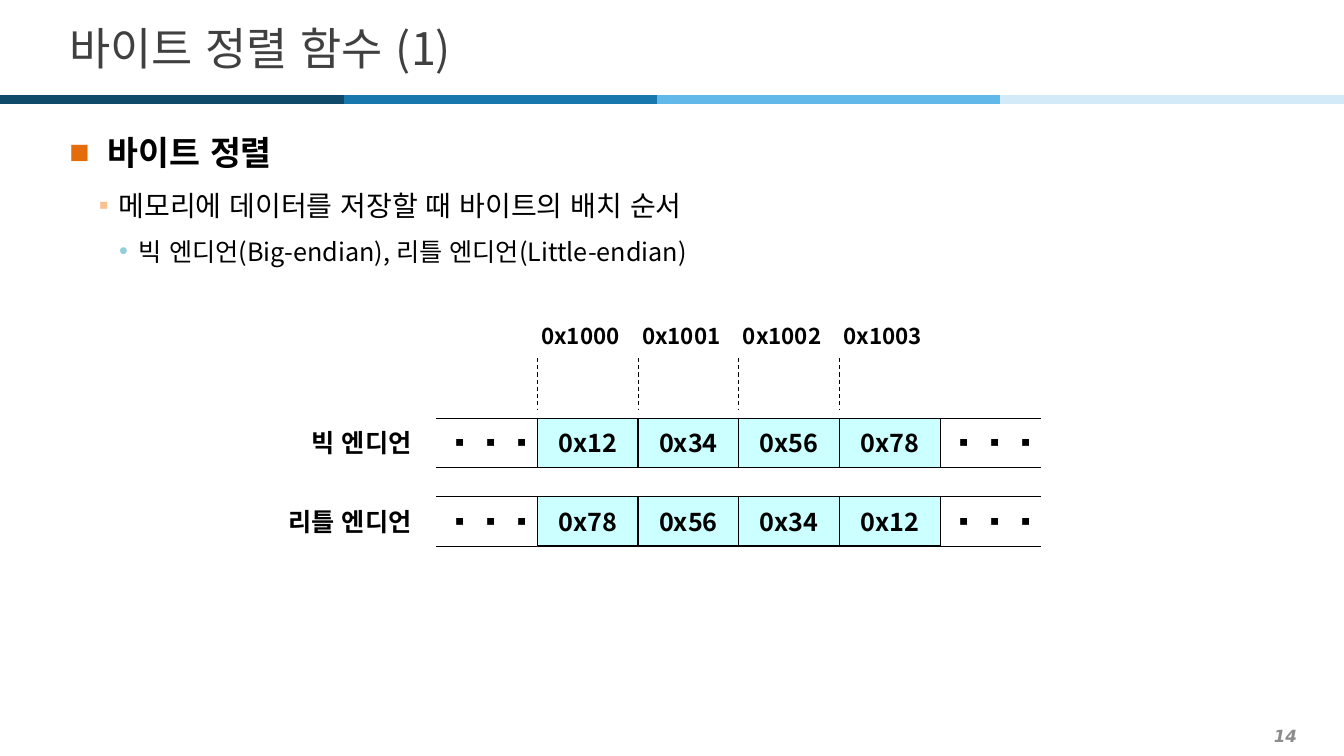
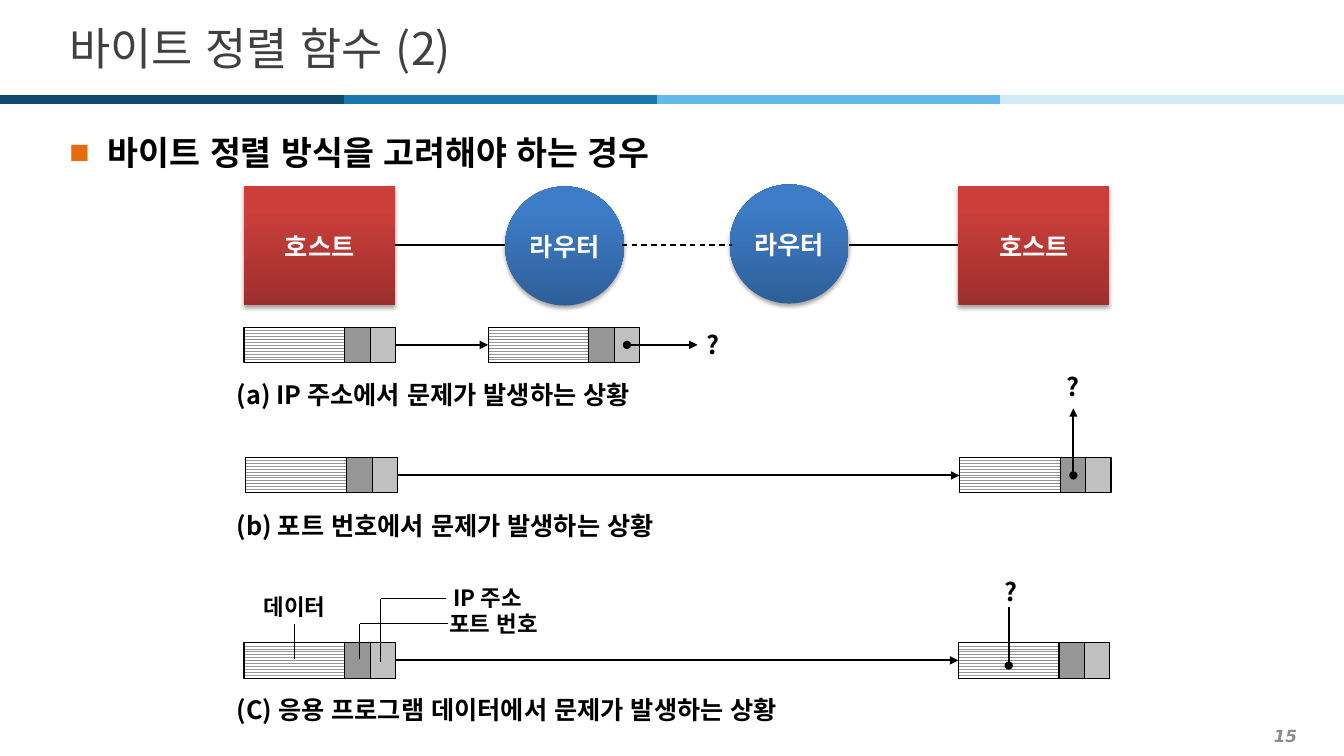
"""Build two slides that explain byte ordering with memory and packet diagrams."""
from lxml import etree
from pptx import Presentation
from pptx.dml.color import RGBColor
from pptx.enum.dml import MSO_LINE, MSO_PATTERN
from pptx.enum.lang import MSO_LANGUAGE_ID
from pptx.enum.shapes import MSO_CONNECTOR, MSO_SHAPE
from pptx.enum.text import MSO_ANCHOR, PP_ALIGN
from pptx.oxml.ns import qn
from pptx.util import Cm, Pt

LEFT, CENTER, RIGHT = PP_ALIGN.LEFT, PP_ALIGN.CENTER, PP_ALIGN.RIGHT
TOP, MIDDLE = MSO_ANCHOR.TOP, MSO_ANCHOR.MIDDLE
DASH = MSO_LINE.DASH
ZIG_ZAG = MSO_PATTERN.ZIG_ZAG
KOREAN = MSO_LANGUAGE_ID.KOREAN
STRAIGHT = MSO_CONNECTOR.STRAIGHT
RECTANGLE, OVAL = MSO_SHAPE.RECTANGLE, MSO_SHAPE.OVAL

BLACK = RGBColor(0x00, 0x00, 0x00)
WHITE = RGBColor(0xFF, 0xFF, 0xFF)
TITLE_GRAY = RGBColor(0x40, 0x40, 0x40)
NUMBER_GRAY = RGBColor(0x8C, 0x8C, 0x8C)
BAND_COLORS = (
    RGBColor(0xD3, 0xEB, 0xF9),
    RGBColor(0x61, 0xB8, 0xE9),
    RGBColor(0x18, 0x77, 0xAC),
    RGBColor(0x0F, 0x4A, 0x6B),
)
BYTE_CYAN = RGBColor(0xCC, 0xFF, 0xFF)
PORT_GRAY = RGBColor(0x96, 0x96, 0x96)
ADDRESS_GRAY = RGBColor(0xC0, 0xC0, 0xC0)
HOST_REDS = (RGBColor(0x9C, 0x2F, 0x2D), RGBColor(0xCB, 0x3E, 0x3A))
ROUTER_BLUES = (RGBColor(0x2F, 0x5F, 0x99), RGBColor(0x3D, 0x7C, 0xC7))

KOREAN_FONT = "Noto Sans CJK KR"
WIDTH, HEIGHT = 33.87, 19.05


def write_text(shape, text, size=18, color=BLACK, bold=True, italic=False,
               font=KOREAN_FONT, align=LEFT, anchor=MIDDLE, wrap=False,
               spacing=None, before=0, after=0, bullet=None):
    """Add one formatted paragraph to a shape."""
    frame = shape.text_frame
    frame.word_wrap = wrap
    frame.vertical_anchor = anchor
    paragraph = frame.add_paragraph() if frame.text else frame.paragraphs[0]
    paragraph.alignment = align
    paragraph.line_spacing = spacing
    paragraph.space_before, paragraph.space_after = Pt(before), Pt(after)
    run = paragraph.add_run()
    run.text = text
    run.font.name, run.font.size = font, Pt(size)
    run.font.bold, run.font.italic = bold, italic
    run.font.color.rgb = color
    run.font.language_id = KOREAN
    etree.SubElement(run.font._element, qn("a:ea"), typeface=KOREAN_FONT)
    if bullet:
        symbol, bullet_color, margin, hanging = bullet
        properties = paragraph._p.get_or_add_pPr()
        properties.set("marL", str(Cm(margin)))
        properties.set("indent", str(-Cm(hanging)))
        holder = etree.SubElement(properties, qn("a:buClr"))
        etree.SubElement(holder, qn("a:srgbClr"), val=bullet_color)
        etree.SubElement(properties, qn("a:buFont"), typeface="Arial")
        etree.SubElement(properties, qn("a:buChar"), char=symbol)


def add_line(slide, x1, y1, x2, y2, width=0.75, color=BLACK, dash=None,
             head=None, tail=None):
    """Draw a straight line with optional end marks."""
    line = slide.shapes.add_connector(STRAIGHT, Cm(x1), Cm(y1), Cm(x2), Cm(y2))
    line.line.color.rgb = color
    line.line.width = Pt(width)
    if dash:
        line.line.dash_style = dash
    outline = line.line._get_or_add_ln()
    for tag, mark in (("a:headEnd", head), ("a:tailEnd", tail)):
        if mark:
            etree.SubElement(outline, qn(tag), type=mark)
    etree.SubElement(line._element.spPr, qn("a:effectLst"))


presentation = Presentation()
presentation.slide_width, presentation.slide_height = Cm(WIDTH), Cm(HEIGHT)
blank_layout = presentation.slide_layouts[6]

heading_style = dict(size=24, font="Arial", spacing=1.2, after=2,
                     bullet=("■", "E46C0A", 0.97, 0.97))
point_style = dict(size=20, bold=False, spacing=1.3, before=2, after=2,
                   bullet=("▪", "FAC090", 1.24, 0.5))
detail_style = dict(size=18, bold=False, spacing=1.2, before=4, after=6,
                    bullet=("•", "93CDDD", 1.75, 0.5))
contents = (
    (14, "바이트 정렬 함수 (1)", (
        ("바이트 정렬", heading_style),
        ("메모리에 데이터를 저장할 때 바이트의 배치 순서", point_style),
        ("빅 엔디언(Big-endian), 리틀 엔디언(Little-endian)", detail_style),
    )),
    (15, "바이트 정렬 함수 (2)", (
        ("바이트 정렬 방식을 고려해야 하는 경우", heading_style),
    )),
)

BAND_LENGTH, BAND_TOP = 8.66, 2.51
for number, title, body_lines in contents:
    slide = presentation.slides.add_slide(blank_layout)
    number_box = slide.shapes.add_textbox(Cm(0.5), Cm(18.13), Cm(32.44), Cm(0.8))
    write_text(number_box, str(number), size=12, font="DejaVu Sans",
               color=NUMBER_GRAY, italic=True, align=RIGHT, wrap=True)
    for index, color in enumerate(BAND_COLORS):
        start = 0 if index == 3 else WIDTH - BAND_LENGTH * (index + 1)
        add_line(slide, start, BAND_TOP, start + BAND_LENGTH, BAND_TOP,
                 width=6, color=color)
    title_box = slide.shapes.add_textbox(Cm(1.5), Cm(0.33), Cm(31), Cm(1.73))
    write_text(title_box, title, size=32, color=TITLE_GRAY, bold=False, wrap=True)
    body_box = slide.shapes.add_textbox(Cm(1.5), Cm(3), Cm(31), Cm(15.3))
    for text, style in body_lines:
        write_text(body_box, text, anchor=TOP, wrap=True, **style)

memory_slide, network_slide = presentation.slides

CELL, ROW_HEIGHT, MEMORY_LEFT = 2.54, 1.24, 13.54
for index in range(4):
    left = MEMORY_LEFT + index * CELL
    address_box = memory_slide.shapes.add_textbox(
        Cm(left - 0.43), Cm(7.84), Cm(3.04), Cm(ROW_HEIGHT))
    write_text(address_box, f"0x100{index}", size=16, align=CENTER)
    add_line(memory_slide, left, 9.02, left, 10.31, dash=DASH)

memory_rows = (
    ("빅 엔디언", 10.54, ("0x12", "0x34", "0x56", "0x78")),
    ("리틀 엔디언", 12.52, ("0x78", "0x56", "0x34", "0x12")),
)
for name, top, values in memory_rows:
    name_box = memory_slide.shapes.add_textbox(
        Cm(5.62), Cm(top), Cm(5), Cm(ROW_HEIGHT))
    write_text(name_box, name, align=RIGHT)
    for index, value in enumerate(values):
        cell = memory_slide.shapes.add_shape(
            RECTANGLE, Cm(MEMORY_LEFT + index * CELL), Cm(top), Cm(CELL), Cm(ROW_HEIGHT))
        cell.shadow.inherit = False
        cell.fill.solid()
        cell.fill.fore_color.rgb = BYTE_CYAN
        cell.line.color.rgb = BLACK
        cell.line.width = Pt(0.75)
        write_text(cell, value, align=CENTER)
    for left in (MEMORY_LEFT - CELL, MEMORY_LEFT + 4 * CELL):
        dots_box = memory_slide.shapes.add_textbox(
            Cm(left - 0.63), Cm(top), Cm(4), Cm(ROW_HEIGHT))
        write_text(dots_box, "▪ ▪ ▪", align=CENTER)
        for edge in (top, top + ROW_HEIGHT):
            add_line(memory_slide, left, edge, left + CELL, edge)

nodes = (
    ("호스트", RECTANGLE, 6.15, 4.7, 3.81, HOST_REDS),
    ("라우터", OVAL, 12.73, 4.7, 3, ROUTER_BLUES),
    ("라우터", OVAL, 18.39, 4.65, 3, ROUTER_BLUES),
    ("호스트", RECTANGLE, 24.15, 4.7, 3.81, HOST_REDS),
)
for name, kind, left, top, width, colors in nodes:
    node = network_slide.shapes.add_shape(kind, Cm(left), Cm(top), Cm(width), Cm(3))
    node.shadow.inherit = False
    node.line.fill.background()
    node.fill.gradient()
    node.fill.gradient_angle = 90
    for stop, color, position in zip(node.fill.gradient_stops, colors, (0, 0.8)):
        stop.color.rgb = color
        stop.position = position
    effects = node._element.spPr.find(qn("a:effectLst"))
    shadow = etree.SubElement(effects, qn("a:outerShdw"), blurRad=str(Pt(3.1)),
                              dist=str(Pt(1.8)), dir="5400000", rotWithShape="0")
    shadow_color = etree.SubElement(shadow, qn("a:srgbClr"), val="000000")
    etree.SubElement(shadow_color, qn("a:alpha"), val="35000")
    write_text(node, name, color=WHITE, align=CENTER)

for start, end, dash in ((9.96, 12.73, None), (15.67, 18.44, DASH), (21.39, 24.15, None)):
    add_line(network_slide, start, 6.17, end, 6.17, width=1, dash=dash)

packet_parts = ((0, 2.54, None), (2.54, 0.64, PORT_GRAY), (3.18, 0.64, ADDRESS_GRAY))
packets = ((6.15, 8.25), (12.3, 8.25), (6.2, 11.52), (24.18, 11.52), (6.15, 16.2), (24.15, 16.2))
for left, top in packets:
    for offset, width, color in packet_parts:
        part = network_slide.shapes.add_shape(
            RECTANGLE, Cm(left + offset), Cm(top), Cm(width), Cm(0.89))
        part.shadow.inherit = False
        if color:
            part.fill.solid()
            part.fill.fore_color.rgb = color
        else:
            part.fill.patterned()
            part.fill.pattern = ZIG_ZAG
            part.fill.fore_color.rgb = PORT_GRAY
            part.fill.back_color.rgb = WHITE
        part.line.color.rgb = BLACK
        part.line.width = Pt(0.75)

arrows = (
    (9.96, 8.69, 12.3, 8.69, None, "triangle"),
    (15.8, 8.69, 17.58, 8.69, "oval", "triangle"),
    (10.02, 11.98, 24.18, 11.98, None, "triangle"),
    (27.05, 11.98, 27.05, 10.29, "oval", "triangle"),
    (9.96, 16.64, 24.15, 16.64, None, "triangle"),
    (25.42, 16.77, 25.42, 15.29, "oval", None),
)
for x1, y1, x2, y2, head, tail in arrows:
    add_line(network_slide, x1, y1, x2, y2, width=1.5, head=head, tail=tail)

callout_lines = (
    (7.42, 15.72, 7.42, 16.61),
    (9.6, 15.09, 9.6, 16.69),
    (9.6, 15.09, 11.23, 15.09),
    (9.07, 15.72, 9.07, 16.61),
    (9.07, 15.72, 11.28, 15.72),
)
for points in callout_lines:
    add_line(network_slide, *points)

labels = (
    ("(a) IP 주소에서 문제가 발생하는 상황", 5.72, 9.58, 14, 0.74, 18, LEFT),
    ("(b) 포트 번호에서 문제가 발생하는 상황", 5.72, 12.87, 14, 0.74, 18, LEFT),
    ("(C) 응용 프로그램 데이터에서 문제가 발생하는 상황", 5.72, 17.51, 18, 0.74, 18, LEFT),
    ("?", 17.55, 8.41, 0.89, 0.56, 18, LEFT),
    ("?", 26.62, 9.47, 0.89, 0.53, 18, LEFT),
    ("?", 24.21, 14.58, 2.54, 0.64, 18, CENTER),
    ("데이터", 6.15, 14.96, 2.54, 0.64, 16, CENTER),
    ("IP 주소", 11.18, 14.73, 4, 0.64, 16, LEFT),
    ("포트 번호", 11.07, 15.39, 4, 0.64, 16, LEFT),
)
for text, left, top, width, height, size, align in labels:
    label_box = network_slide.shapes.add_textbox(Cm(left), Cm(top), Cm(width), Cm(height))
    write_text(label_box, text, size=size, align=align)

presentation.save("out.pptx")
